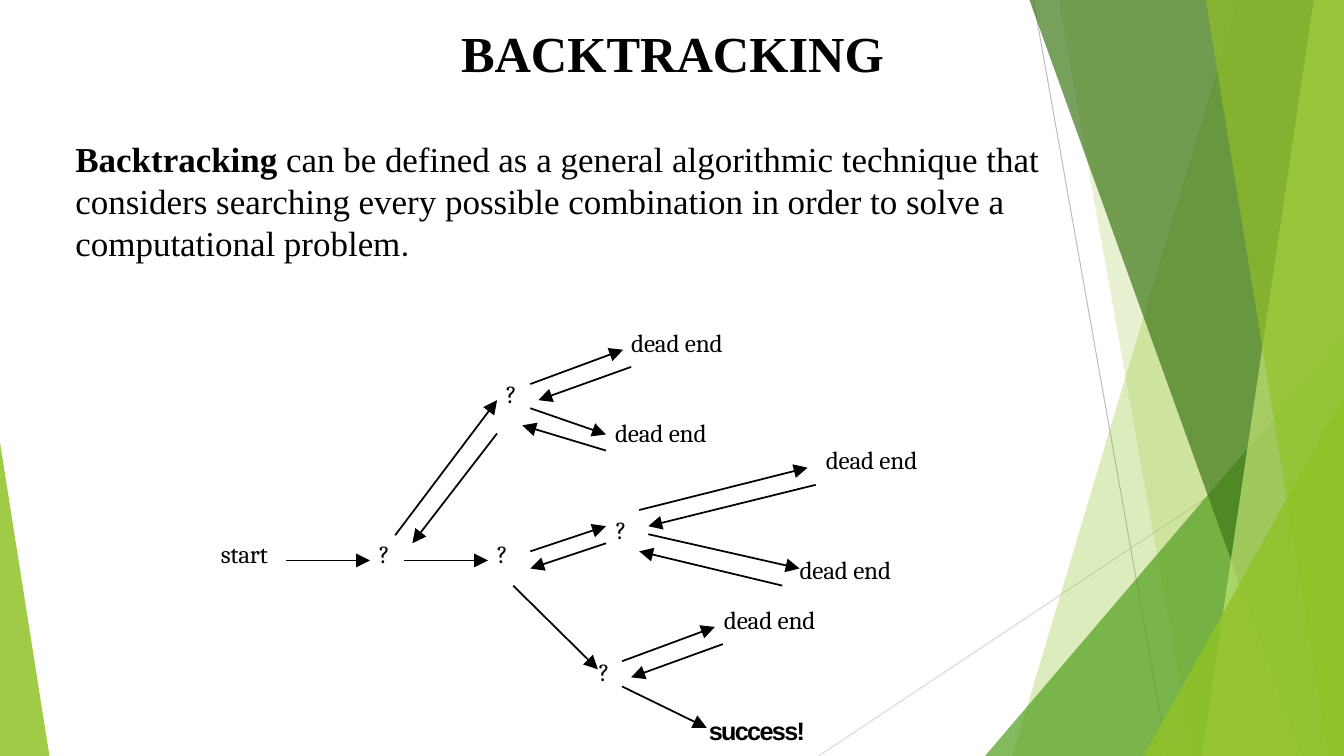
from lxml.etree import SubElement
from pptx import Presentation
from pptx.dml.color import RGBColor
from pptx.enum.shapes import MSO_CONNECTOR as Connector, MSO_SHAPE as Shape
from pptx.enum.text import MSO_ANCHOR as Anchor, PP_ALIGN as Align
from pptx.oxml.ns import qn
from pptx.util import Inches, Pt

WIDTH, HEIGHT = 13.33, 7.5
GREEN = "90C226"

GUIDES = [
    ((10.25, 0), (11.58, HEIGHT), "BFBFBF"),
    ((WIDTH, 4.03), (8.12, HEIGHT), "D9D9D9"),
]
BACK_BANDS = [(12.28, 10.04, GREEN, 30), (10.5, 11.83, GREEN, 20)]
FRONT_BANDS = [
    (10.21, 12.91, "3F7819", 70),
    (13.03, 11.92, "C0E474", 70),
    (11.96, 13.18, GREEN, 65),
]
ARROWS = [
    ((2.84, 5.56), (3.67, 5.56)),
    ((3.92, 5.31), (4.93, 3.97)),
    ((4.93, 4.3), (4.09, 5.39)),
    ((4.01, 5.56), (4.84, 5.56)),
    ((5.26, 3.81), (6.18, 3.47)),
    ((6.26, 3.64), (5.34, 3.97)),
    ((5.26, 4.05), (6.01, 4.31)),
    ((6.01, 4.47), (5.18, 4.22)),
    ((5.26, 5.47), (6.01, 5.22)),
    ((6.01, 5.39), (5.26, 5.64)),
    ((6.34, 5.06), (8.01, 4.64)),
    ((8.09, 4.81), (6.43, 5.22)),
    ((6.43, 5.3), (7.93, 5.64)),
    ((7.76, 5.81), (6.34, 5.47)),
    ((5.09, 5.81), (5.93, 6.64)),
    ((6.17, 6.56), (7.09, 6.22)),
    ((7.17, 6.39), (6.26, 6.72)),
    ((6.17, 6.81), (7.01, 7.22)),
]
CHOICES = [(3.76, 5.33), (4.93, 5.33), (5.02, 3.74), (6.11, 5.09), (5.94, 6.5)]
DEAD_ENDS = [(6.26, 3.24), (6.1, 4.13), (8.19, 4.4), (7.93, 5.49), (7.18, 5.99)]


def color(value):
    return RGBColor.from_string(value)


class SlideBuilder:
    serif = "Times New Roman"
    ink = "000000"

    def __init__(self, deck):
        self.page = deck.slides.add_slide(deck.slide_layouts[5])
        self.shapes = self.page.shapes

    def font(self, target, size, name, bold=False):
        target.font.size = Pt(size)
        target.font.name = name
        target.font.bold = bold
        target.font.color.rgb = color(self.ink)

    def paint(self, shape, fill, opacity):
        shape.shadow.inherit = False
        shape.fill.solid()
        shape.fill.fore_color.rgb = color(fill)
        shape.line.fill.background()
        tint = shape._element.spPr.find(f"{qn('a:solidFill')}/{qn('a:srgbClr')}")
        SubElement(tint, qn("a:alpha"), val=str(opacity * 1000))

    def polygon(self, points, fill, opacity):
        start, *others = [(Inches(x), Inches(y)) for x, y in points]
        outline = self.shapes.build_freeform(*start)
        outline.add_line_segments(others)
        self.paint(outline.convert_to_shape(), fill, opacity)

    def band(self, top, bottom, fill, opacity):
        corners = [(top, 0), (WIDTH, 0), (WIDTH, HEIGHT), (bottom, HEIGHT)]
        self.polygon(corners, fill, opacity)

    def triangle(self, left, top, width, peak, fill, opacity):
        shape = self.shapes.add_shape(
            Shape.ISOSCELES_TRIANGLE,
            Inches(left), Inches(top), Inches(width), Inches(HEIGHT - top))
        shape.adjustments[0] = peak
        self.paint(shape, fill, opacity)

    def line(self, start, end, stroke, width, arrow=False):
        connector = self.shapes.add_connector(
            Connector.STRAIGHT, *(Inches(value) for value in start + end))
        connector.line.color.rgb = color(stroke)
        connector.line.width = Pt(width)
        if arrow:
            SubElement(connector.line._get_or_add_ln(), qn("a:tailEnd"),
                       type="triangle", w="lg", len="lg")
        SubElement(connector._element.spPr, qn("a:effectLst"))

    def title(self, text):
        box = self.shapes.title
        box.left, box.top = Inches(3.15), Inches(0.09)
        box.width, box.height = Inches(7.04), Inches(1)
        frame = box.text_frame
        frame.text = text
        frame.vertical_anchor = Anchor.TOP
        frame.margin_top = Inches(0.13)
        para = frame.paragraphs[0]
        para.alignment = Align.CENTER
        self.font(para, 36, self.serif, True)

    def text_box(self, left, top, width, height):
        box = self.shapes.add_textbox(
            Inches(left), Inches(top), Inches(width), Inches(height))
        box.text_frame.word_wrap = True
        return box.text_frame

    def definition(self, spans):
        para = self.text_box(0.65, 1.32, 10.3, 2.67).paragraphs[0]
        para.line_spacing = Pt(30)
        for text, name, bold in spans:
            span = para.add_run()
            span.text = text
            self.font(span, 25, name, bold)

    def label(self, place, text, width, spacing, name="Cambria", bold=False):
        frame = self.text_box(*place, width, 0.33)
        frame.margin_left = frame.margin_right = frame.margin_bottom = 0
        frame.margin_top = Inches(0.01)
        para = frame.paragraphs[0]
        self.font(para, 18, name, bold)
        span = para.add_run()
        span.text = text
        span.font._element.set("spc", str(spacing))


def main():
    deck = Presentation()
    deck.slide_width, deck.slide_height = Inches(WIDTH), Inches(HEIGHT)
    slide = SlideBuilder(deck)

    for start, end, stroke in GUIDES:
        slide.line(start, end, stroke, 0.75)
    for band in BACK_BANDS:
        slide.band(*band)
    slide.triangle(9.77, 3.33, 3.56, 1, "54A021", 72)
    for band in FRONT_BANDS:
        slide.band(*band)
    slide.triangle(11.34, 3.93, 1.99, 1, GREEN, 80)
    slide.triangle(0, 4.39, 0.49, 0, GREEN, 85)

    slide.title("BACKTRACKING")
    slide.definition([
        ("Backtracking", slide.serif, True),
        (" can be defined as a general algorithmic technique that considers "
         "searching every possible combination in order to solve a "
         "computational problem", slide.serif, False),
        (".", "Roboto", False),
    ])

    for start, end in ARROWS:
        slide.line(start, end, slide.ink, 1.25, arrow=True)
    slide.label((2.19, 5.33), "start", 0.6, -20)
    for place in CHOICES:
        slide.label(place, "?", 0.2, -80)
    for place in DEAD_ENDS:
        slide.label(place, "dead end", 1.05, -15)
    slide.label((7.03, 7.09), "success!", 1.25, -120, "Arial", True)

    deck.save("out.pptx")


if __name__ == "__main__":
    main()
